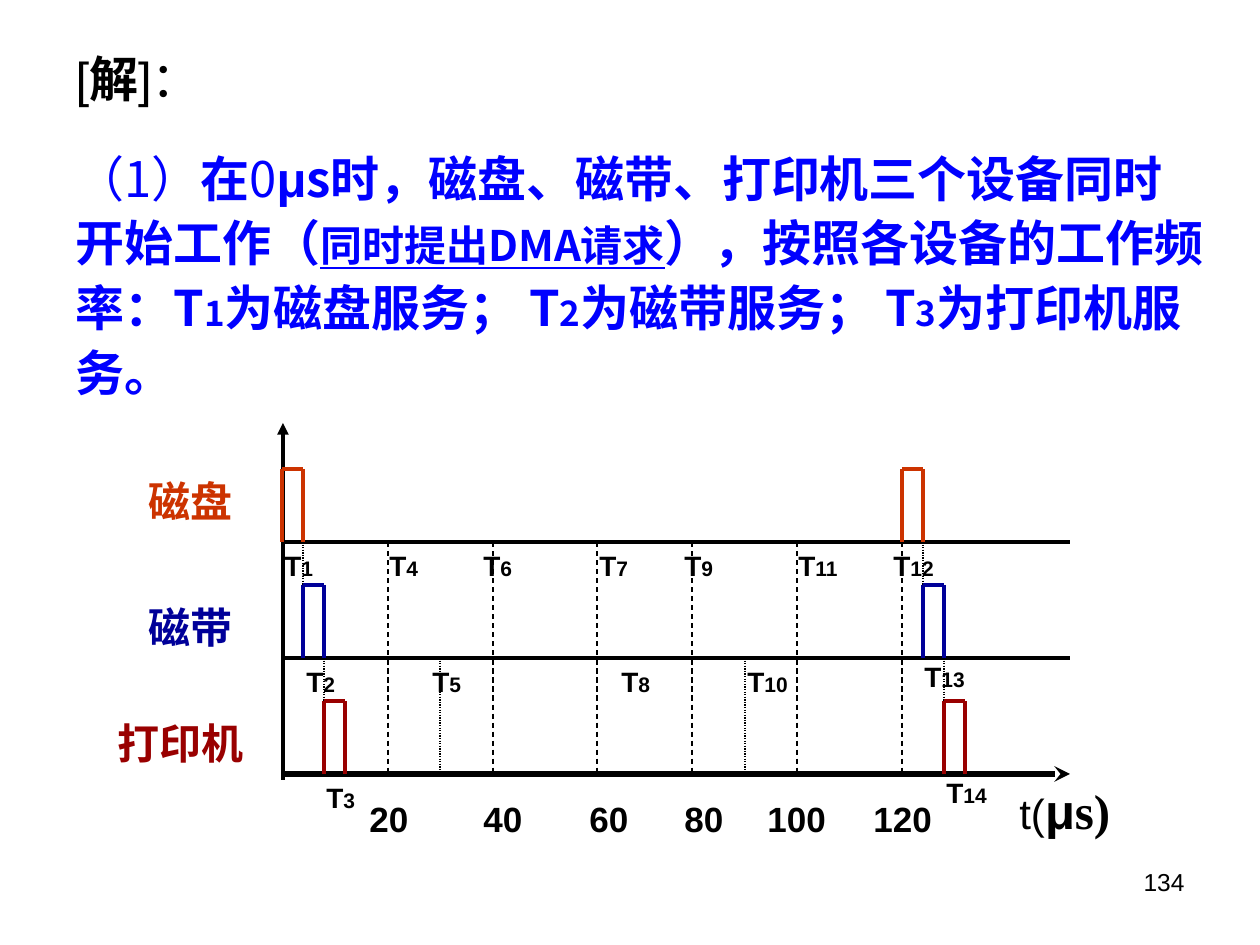
"""Build a slide showing when three devices send their DMA requests."""
import pptx
import pptx.util
import pptx.dml.color
import pptx.enum.dml
import pptx.enum.shapes
import pptx.enum.text
import pptx.oxml.ns
import lxml.etree

HAN = "Noto Sans CJK SC"
THEME = {
    "ink": "000000", "blue": "0000FF",
    "disk": "CC3300", "tape": "000099", "print": "990000",
    "head": {"size": 28, "name": "Arial", "bold": False},
    "body": {"size": 28, "name": HAN, "bold": True},
    "dev": {"size": 24, "name": "Arial", "bold": True},
    "tick": {"size": 20, "name": "Arial", "bold": True},
    "mark": {"size": 16, "name": "Arial", "bold": True},
    "page": {"size": 14, "name": "Arial", "bold": False},
    "thin": 0.75, "line": 2.25, "bold": 3,
}
THIN, SUB = {"bold": False}, {"size": 20}
TITLE = [("[", {}), ("解", {"bold": True}), ("]：", {})]
BODY = [
    ("（1）", THIN), ("在", {}), ("0", THIN), ("μ", {"name": "Arial"}),
    ("s时，磁盘、磁带、打印机三个设备同时开始工作（", {}),
    ("同时提出DMA请求", {"size": 24, "underline": True}),
    ("），按照各设备的工作频率：T", {}), ("1", SUB),
    ("为磁盘服务； T", {}), ("2", SUB),
    ("为磁带服务； T", {}), ("3", SUB), ("为打印机服务。", {}),
]
UNIT = [("t(", {"size": 24}), ("μ", {"bold": True}),
        ("s)", {"bold": True, "name": "Times New Roman"})]
LANES = [("磁盘", "disk", (136, 469, 116, 63)),
         ("磁带", "tape", (136, 595, 116, 63)),
         ("打印机", "print", (105, 711, 158, 63))]
TICKS = [("20", 388, 357, 84), ("40", 493, 471, 84), ("60", 597, 577, 84),
         ("80", 692, 672, 84), ("100", 797, 755, 105), ("120", 902, 861, 105)]
MARKS = [(1, 272, 542), (2, 294, 658), (3, 314, 774), (4, 377, 542),
         (5, 420, 658), (6, 471, 542), (7, 587, 542), (8, 609, 658),
         (9, 672, 542), (10, 735, 658), (11, 786, 542), (12, 881, 542),
         (13, 912, 653), (14, 934, 769)]
STARTS, DOTS = [282, 902], [440, 745]
LEFT, RIGHT, TOP, GAP, WIDE, HIGH = 282, 1070, 542, 116, 21, 73
DASH = pptx.enum.dml.MSO_LINE.DASH
DOT = pptx.enum.dml.MSO_LINE.ROUND_DOT
ALIGN = pptx.enum.text.PP_ALIGN


def px(num):
    return pptx.util.Emu(round(num * 914400 / 126))


def tint(key):
    return pptx.dml.color.RGBColor.from_string(THEME[key])


def fill(shape, runs, role, color="ink", align=ALIGN.LEFT, space=1.0):
    frame = shape.text_frame
    for key, val in {"word_wrap": True,
                     "auto_size": pptx.enum.text.MSO_AUTO_SIZE.NONE,
                     "vertical_anchor": pptx.enum.text.MSO_ANCHOR.TOP}.items():
        setattr(frame, key, val)
    para = frame.paragraphs[0]
    for key, val in {"alignment": align, "line_spacing": space,
                     "space_before": pptx.util.Pt(0)}.items():
        setattr(para, key, val)
    for text, extra in runs:
        run = para.add_run()
        run.text = text
        run.font.color.rgb = tint(color)
        look = {**THEME[role], **extra}
        look["size"] = pptx.util.Pt(look["size"])
        for key, val in look.items():
            setattr(run.font, key, val)
        east = lxml.etree.SubElement(run.font._element, pptx.oxml.ns.qn("a:ea"))
        east.set("typeface", HAN)
    return para


def place(shape, box):
    for key, val in zip(("left", "top", "width", "height"), box):
        setattr(shape, key, px(val))


def label(shapes, box, *args, **opts):
    fill(shapes.add_textbox(*map(px, box)), *args, **opts)


def line(shapes, ends, color="ink", size="line", dash=None, arrow=None):
    kind = pptx.enum.shapes.MSO_CONNECTOR.STRAIGHT
    link = shapes.add_connector(kind, *map(px, ends))
    link.line.color.rgb = tint(color)
    link.line.width = pptx.util.Pt(THEME[size])
    if dash:
        link.line.dash_style = dash
    if arrow:
        tag, shape = arrow
        tip = lxml.etree.SubElement(link.line._get_or_add_ln(),
                                    pptx.oxml.ns.qn(tag))
        tip.set("type", shape)
    lxml.etree.SubElement(link._element.spPr, pptx.oxml.ns.qn("a:effectLst"))


def pulse(shapes, x, base, color):
    top, end = base - HIGH, x + WIDE
    for ends in [(x, base, x, top), (x, top, end, top), (end, top, end, base)]:
        line(shapes, ends, color)


def chart(shapes):
    last = TOP + 2 * GAP
    for row in range(2):
        y = TOP + row * GAP
        line(shapes, (LEFT, y, RIGHT, y))
    line(shapes, (LEFT, last, RIGHT, last), size="bold",
         arrow=("a:tailEnd", "stealth"))
    line(shapes, (LEFT + 1, 423, LEFT + 1, last + 6),
         arrow=("a:headEnd", "triangle"))
    for text, x, left, width in TICKS:
        line(shapes, (x, TOP, x, last), size="thin", dash=DASH)
        label(shapes, (left, 791, width, 55), [(text, {})], "tick")
    for x in DOTS:
        line(shapes, (x, TOP + GAP, x, last), size="thin", dash=DOT)
    for row, (text, color, box) in enumerate(LANES):
        base = TOP + row * GAP
        label(shapes, box, [(text, {})], "dev", color)
        for start in STARTS:
            x = start + row * WIDE
            pulse(shapes, x, base, color)
            if row < 2:
                drop = (x + WIDE, base, x + WIDE, base + GAP - HIGH)
                line(shapes, drop, size="thin", dash=DOT)
    for num, x, y in MARKS:
        runs = [("T", {}), (str(num), {"size": 12})]
        label(shapes, (x, y, 73, 47), runs, "mark")
    label(shapes, (1007, 774, 126, 72), UNIT, "head")


def main():
    deck = pptx.Presentation()
    deck.slide_width, deck.slide_height = px(1260), px(945)
    slide = deck.slides.add_slide(deck.slide_layouts[1])
    title, body = slide.placeholders
    place(title, (63, 42, 1155, 72))
    fill(title, TITLE, "head")
    place(body, (63, 136, 1155, 272))
    props = fill(body, BODY, "body", "blue", space=1.1)._p.get_or_add_pPr()
    for key in ("marL", "indent"):
        props.set(key, "0")
    lxml.etree.SubElement(props, pptx.oxml.ns.qn("a:buNone"))
    label(slide.shapes, (903, 861, 294, 66), [("134", {})], "page",
          align=ALIGN.RIGHT)
    chart(slide.shapes.add_group_shape().shapes)
    deck.save("out.pptx")


if __name__ == "__main__":
    main()
